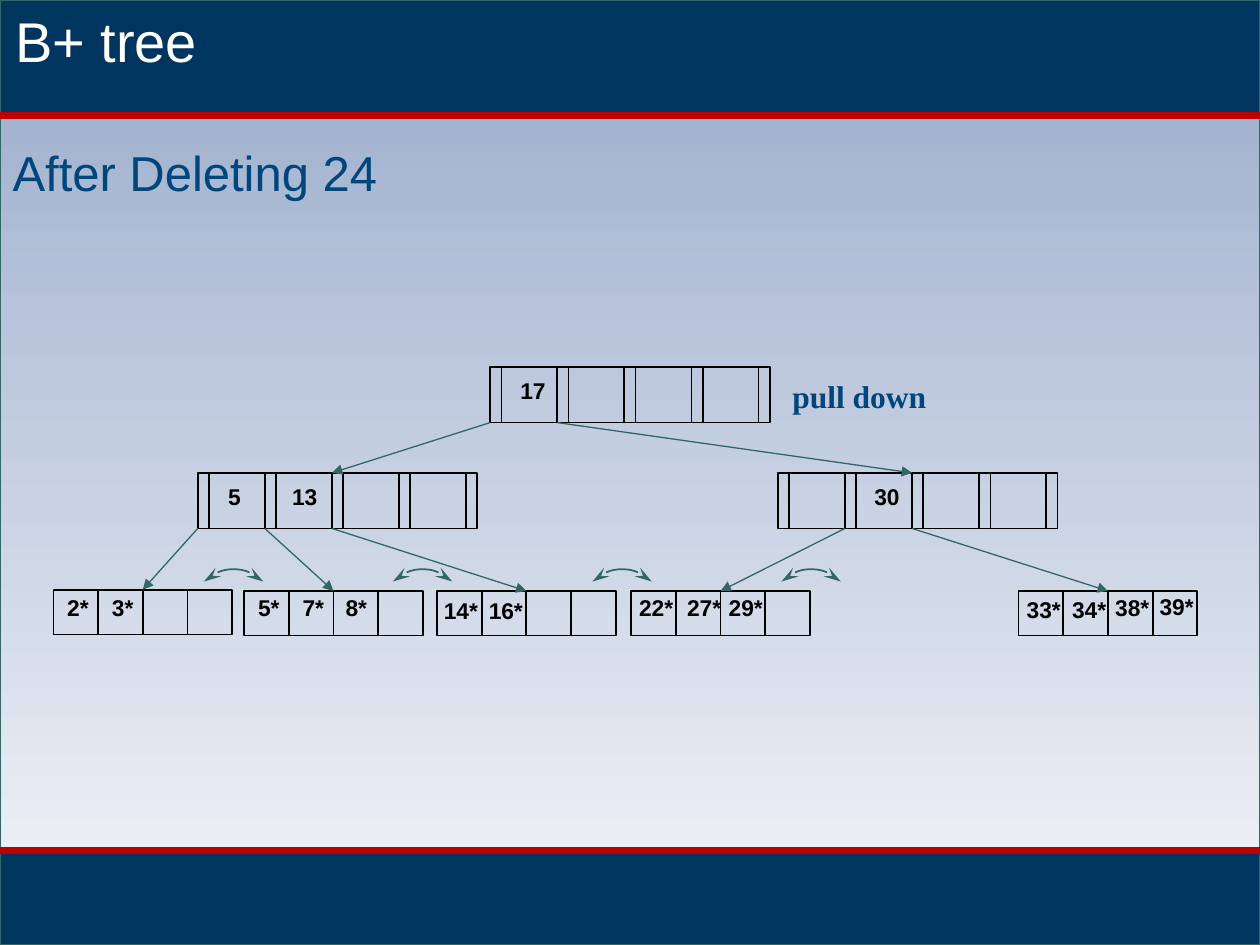
from lxml.etree import SubElement
from pptx import Presentation
from pptx.dml.color import RGBColor
from pptx.enum.shapes import MSO_CONNECTOR, MSO_SHAPE
from pptx.enum.text import MSO_ANCHOR, MSO_AUTO_SIZE, PP_ALIGN
from pptx.oxml.ns import qn
from pptx.util import Pt

WIDTH, HEIGHT = 720, 540
HEADER_BOTTOM, FOOTER_TOP = 66, 486
NAVY, RED, TEAL, BLUE = "003560", "BC0000", "336666", "00457C"
BLACK, WHITE = "000000", "FFFFFF"

KEY_WIDTH, POINTER_WIDTH, INNER_HEIGHT = 38.35, 6.4, 31.8
LEAF_CELL = 25.55
CELLS = 4
ROOT = (280.1, 209.7)
LEFT_INNER = (113, 270.2)
RIGHT_INNER = (444.5, 270.2)
LEAVES = [(30.5, 337), (139.5, 337.7), (249.7, 337.7), (360.7, 337.7), (582, 337.7)]
KEYS = [
    ("17", 290.2, 211.7), ("5", 123.3, 272.2), ("13", 159.8, 272.2), ("30", 492.5, 272.2),
    ("2*", 31.3, 335.5), ("3*", 56.9, 335.5),
    ("5*", 140.4, 335.5), ("7*", 165.8, 335.5), ("8*", 190.4, 335.5),
    ("14*", 246.5, 337.5), ("16*", 272.2, 337.5),
    ("22*", 358.1, 335.5), ("27*", 385.5, 335.5), ("29*", 409.3, 335.5),
    ("33*", 579.6, 337), ("34*", 605.5, 337), ("38*", 630.2, 335.5), ("39*", 655.5, 335),
]
KEY_BOX_WIDTHS = {1: 22, 2: 29, 3: 34}
SIBLING_CENTERS = [133.5, 241.5, 355.5, 463.5]
SIBLING_CENTER_Y, SIBLING_RADIUS = 349.3, 24


def color(hex_string):
    """Turn a hex string into a colour."""
    return RGBColor.from_string(hex_string)


def write(shape, text, size=13, font="Arial", fill=BLACK, bold=False, wrap=True):
    """Put one formatted, left-aligned paragraph into a shape."""
    frame = shape.text_frame
    frame.word_wrap = wrap
    frame.auto_size = MSO_AUTO_SIZE.SHAPE_TO_FIT_TEXT
    frame.vertical_anchor = MSO_ANCHOR.TOP
    para = frame.paragraphs[0]
    para.alignment = PP_ALIGN.LEFT
    span = para.add_run()
    span.text = text
    span.font.size = Pt(size)
    span.font.name = font
    span.font.bold = bold
    span.font.color.rgb = color(fill)
    return para


def add_label(page, text, left, top, width, height, **text_format):
    """Add a text box that keeps its text on one line."""
    box = page.shapes.add_textbox(Pt(left), Pt(top), Pt(width), Pt(height))
    write(box, text, wrap=False, **text_format)


def add_rectangle(page, left, top, width, height, fill=None, line=BLACK, weight=1):
    """Add an outlined rectangle, filled or empty."""
    box = page.shapes.add_shape(MSO_SHAPE.RECTANGLE, Pt(left), Pt(top), Pt(width), Pt(height))
    box.shadow.inherit = False
    if fill:
        box.fill.solid()
        box.fill.fore_color.rgb = color(fill)
    else:
        box.fill.background()
    box.line.color.rgb = color(line)
    box.line.width = Pt(weight)
    return box


def add_arrowhead(shape, end, kind, length="med"):
    """Set the arrowhead at one end of a line."""
    SubElement(shape.line._get_or_add_ln(), qn(f"a:{end}"), type=kind, w="med", len=length)


def add_line(page, start, stop, line=BLACK, weight=1):
    """Add a straight line between two points."""
    ends = [Pt(value) for value in (*start, *stop)]
    connector = page.shapes.add_connector(MSO_CONNECTOR.STRAIGHT, *ends)
    connector.line.color.rgb = color(line)
    connector.line.width = Pt(weight)
    SubElement(connector.element.spPr, qn("a:effectLst"))
    return connector


def add_child_arrow(page, parent, pointer, child_top):
    """Point from a numbered pointer of an inner node to the top of a child."""
    start = (parent[0] + pointer * KEY_WIDTH, parent[1] + INNER_HEIGHT)
    arrow = add_line(page, start, child_top, line=TEAL, weight=0.75)
    add_arrowhead(arrow, "tailEnd", "triangle")


def add_sibling_arc(page, center):
    """Add a double-headed arc that links two neighbouring leaves."""
    arc = page.shapes.add_shape(
        MSO_SHAPE.ARC, Pt(center - SIBLING_RADIUS), Pt(SIBLING_CENTER_Y - SIBLING_RADIUS),
        Pt(2 * SIBLING_RADIUS), Pt(2 * SIBLING_RADIUS))
    arc.shadow.inherit = False
    arc.adjustments[0] = 225 * 0.6
    arc.adjustments[1] = 315 * 0.6
    arc.fill.background()
    arc.line.color.rgb = color(TEAL)
    arc.line.width = Pt(1)
    for end in ("headEnd", "tailEnd"):
        add_arrowhead(arc, end, "stealth", length="lg")


def add_inner_node(page, left, top):
    """Add an inner node: pointer and key pairs, then a last pointer."""
    for index in range(CELLS):
        cell_left = left + index * KEY_WIDTH
        divider = cell_left + POINTER_WIDTH
        add_rectangle(page, cell_left, top, KEY_WIDTH, INNER_HEIGHT)
        add_line(page, (divider, top), (divider, top + INNER_HEIGHT))
    add_rectangle(page, left + CELLS * KEY_WIDTH, top, POINTER_WIDTH, INNER_HEIGHT)


def add_leaf(page, left, top):
    """Add a leaf node as a row of square cells."""
    for index in range(CELLS):
        add_rectangle(page, left + index * LEAF_CELL, top, LEAF_CELL, LEAF_CELL)


def add_backdrop(page):
    """Add the gradient, the two bars and their red rules."""
    back = add_rectangle(page, 0, 0, WIDTH, HEIGHT, fill=WHITE, line=TEAL, weight=0.75)
    back.fill.gradient()
    back.fill.gradient_angle = 270
    for stop, shade in zip(back.fill.gradient_stops, ("99ABCB", "F3F5F9")):
        stop.color.rgb = color(shade)
    for top, bottom in ((FOOTER_TOP, HEIGHT), (0, HEADER_BOTTOM)):
        add_rectangle(page, 0, top, WIDTH, bottom - top, fill=NAVY, line=TEAL, weight=0.75)
    for level in (HEADER_BOTTOM, FOOTER_TOP):
        add_line(page, (0, level), (WIDTH, level), line=RED, weight=3.75)


def place(page, holder, left, top, width, height):
    """Move a placeholder into position, in front of the shapes so far."""
    holder.left, holder.top = Pt(left), Pt(top)
    holder.width, holder.height = Pt(width), Pt(height)
    page.shapes.element.append(holder.element)


def add_headings(page):
    """Fill the title and the body placeholder."""
    title, body = page.shapes.title, page.placeholders[1]
    place(page, body, 0, 77.8, WIDTH, 41)
    para = write(body, "After Deleting 24", size=28, fill=BLUE)
    properties = para._p.get_or_add_pPr()
    properties.set("marL", "0")
    properties.set("indent", "0")
    SubElement(properties, qn("a:buNone"))
    place(page, title, 1.4, 0, 718.6, 46)
    write(title, "B+ tree", size=32, fill=WHITE)


def add_tree(page):
    """Draw the nodes, their keys and the links between them."""
    for node in (ROOT, LEFT_INNER, RIGHT_INNER):
        add_inner_node(page, *node)
    for leaf in LEAVES:
        add_leaf(page, *leaf)
    for text, left, top in KEYS:
        add_label(page, text, left, top, KEY_BOX_WIDTHS[len(text)], 23, bold=True)
    for center in SIBLING_CENTERS:
        add_sibling_arc(page, center)
    leaf_parents = [(LEFT_INNER, 0), (LEFT_INNER, 1), (LEFT_INNER, 2),
                    (RIGHT_INNER, 1), (RIGHT_INNER, 2)]
    for (parent, pointer), (left, top) in zip(leaf_parents, LEAVES):
        add_child_arrow(page, parent, pointer, (left + 2 * LEAF_CELL, top))
    for pointer, (left, top) in enumerate((LEFT_INNER, RIGHT_INNER)):
        add_child_arrow(page, ROOT, pointer, (left + 2 * KEY_WIDTH, top))


def main():
    """Build the slide and save it."""
    deck = Presentation()
    deck.slide_width, deck.slide_height = Pt(WIDTH), Pt(HEIGHT)
    page = deck.slides.add_slide(deck.slide_layouts[1])
    add_backdrop(page)
    add_tree(page)
    add_headings(page)
    add_label(page, "pull down", 445.7, 211.7, 91.4, 28.8,
              size=18, font="Times New Roman", fill=BLUE, bold=True)
    deck.save("out.pptx")


if __name__ == "__main__":
    main()
